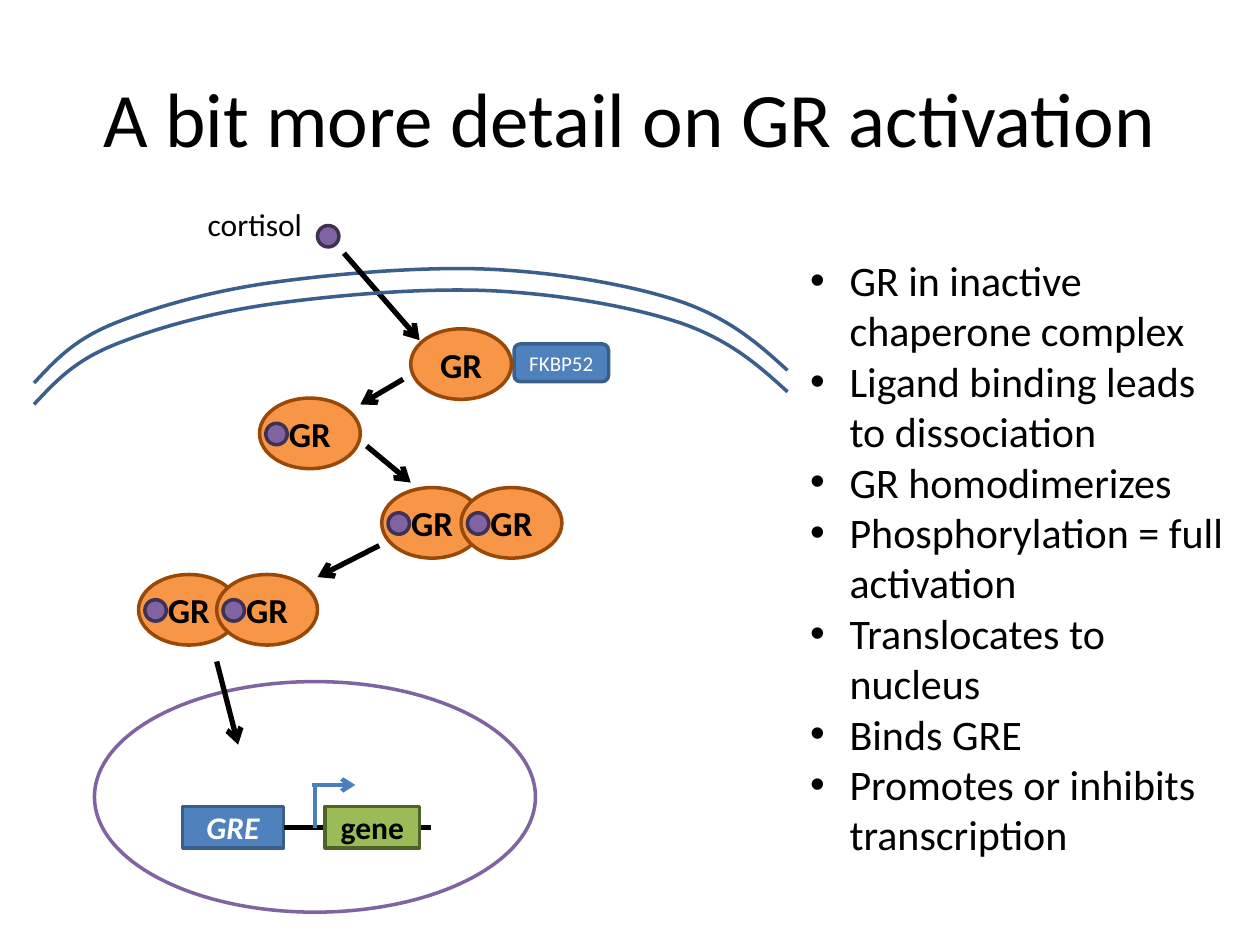
from lxml.etree import SubElement
from pptx import Presentation
from pptx.dml.color import RGBColor
from pptx.enum.shapes import MSO_CONNECTOR, MSO_SHAPE
from pptx.enum.text import MSO_ANCHOR, MSO_AUTO_SIZE, PP_ALIGN
from pptx.oxml.ns import qn
from pptx.util import Inches, Pt

BLUE, NAVY = "4F81BD", "3A5F8C"
PURPLE, PLUM = "8064A2", "403152"
ORANGE, RUST = "F79646", "984807"
GREEN, OLIVE = "9BBB59", "4F6228"
BLACK, WHITE, SKY = "000000", "FFFFFF", "4B7EBC"

# Start point, then two control points and an end point per curve
MEMBRANE = [
    (0.27, 3.04), (0.43, 2.87), (0.58, 2.7), (0.9, 2.57),
    (1.22, 2.44), (1.67, 2.31), (2.18, 2.24),
    (2.69, 2.17), (3.4, 2.11), (3.94, 2.14),
    (4.48, 2.17), (5.04, 2.27), (5.42, 2.4),
    (5.81, 2.54), (6.03, 2.74), (6.25, 2.94),
]
POINTS = [
    "GR in inactive chaperone complex",
    "Ligand binding leads to dissociation",
    "GR homodimerizes",
    "Phosphorylation = full activation",
    "Translocates to nucleus",
    "Binds GRE",
    "Promotes or inhibits transcription",
]
ARROWS = [
    (2.73, 2.01, 3.33, 2.7),
    (3.2, 3.01, 2.86, 3.21),
    (2.91, 3.54, 3.26, 3.83),
    (3.01, 4.33, 2.52, 4.58),
    (1.72, 5.25, 1.89, 5.91),
]
BOUND = [(2.06, 3.16), (3.03, 3.87), (3.66, 3.87), (1.1, 4.56), (1.72, 4.56)]


def rgb(code):
    return RGBColor.from_string(code)


class Board:
    face = "Calibri"

    def __init__(self, slide):
        self.slide = slide
        self.shapes = slide.shapes

    def font(self, para, size, color=BLACK, bold=False, italic=False):
        font = para.font
        font.name, font.size = self.face, Pt(size)
        font.bold, font.italic = bold, italic
        font.color.rgb = rgb(color)

    def place(self, item, x, y, w, h):
        item.left, item.top = Inches(x), Inches(y)
        item.width, item.height = Inches(w), Inches(h)

    def paint(self, shape, fill, line):
        shape.shadow.inherit = False
        if fill:
            shape.fill.solid()
            shape.fill.fore_color.rgb = rgb(fill)
        else:
            shape.fill.background()
        shape.line.color.rgb = rgb(line)
        shape.line.width = Pt(2)

    def title(self, text):
        item = self.shapes.title
        self.place(item, 0.5, 0.3, 9, 1.25)
        item.text_frame.text = text
        self.font(item.text_frame.paragraphs[0], 44)

    def bullets(self, lines, x, y, w, h):
        item = self.slide.placeholders[1]
        self.place(item, x, y, w, h)
        frame = item.text_frame
        frame.text = "\n".join(lines)
        frame.auto_size = MSO_AUTO_SIZE.SHAPE_TO_FIT_TEXT
        for para in frame.paragraphs:
            props = para._p.get_or_add_pPr()
            props.set("marL", str(Pt(22.5)))
            props.set("indent", str(Pt(-22.5)))
            SubElement(props, qn("a:buFont")).set("typeface", "Arial")
            SubElement(props, qn("a:buChar")).set("char", "•")
            para.space_before = Pt(0)
            self.font(para, 24)

    def label(self, text, x, y, w, h):
        frame = self.shapes.add_textbox(Inches(x), Inches(y), Inches(w), Inches(h)).text_frame
        frame.word_wrap = False
        frame.auto_size = MSO_AUTO_SIZE.SHAPE_TO_FIT_TEXT
        frame.text = text
        self.font(frame.paragraphs[0], 18)

    def shape(self, kind, x, y, w, h, fill, line, text="", host=None, **style):
        item = (host or self.shapes).add_shape(kind, Inches(x), Inches(y), Inches(w), Inches(h))
        self.paint(item, fill, line)
        if text:
            frame = item.text_frame
            frame.text = text
            frame.vertical_anchor = MSO_ANCHOR.MIDDLE
            frame.paragraphs[0].alignment = PP_ALIGN.CENTER
            self.font(frame.paragraphs[0], **style)

    def cortisol(self, x, y, host=None):
        self.shape(MSO_SHAPE.OVAL, x, y, 0.17, 0.17, PURPLE, PLUM, host=host)

    def receptor(self, x, y, host=None):
        self.shape(MSO_SHAPE.OVAL, x, y, 0.8, 0.56, ORANGE, RUST, "GR", host,
                   size=20, bold=True)

    def bound(self, x, y):
        """Draw a receptor that holds its ligand."""
        host = self.shapes.add_group_shape().shapes
        self.receptor(x, y, host)
        self.cortisol(x + 0.05, y + 0.2, host)

    def line(self, x1, y1, x2, y2, color=BLACK, width=3, arrow=False):
        item = self.shapes.add_connector(
            MSO_CONNECTOR.STRAIGHT, Inches(x1), Inches(y1), Inches(x2), Inches(y2))
        item.line.color.rgb = rgb(color)
        item.line.width = Pt(width)
        if arrow:
            SubElement(item.line._get_or_add_ln(), qn("a:tailEnd")).set("type", "arrow")
        SubElement(item._element.spPr, qn("a:effectLst"))

    def curve(self, knots, drop=0):
        """Draw an open chain of cubic Bezier curves."""
        dots = [(Inches(x), Inches(y + drop)) for x, y in knots]
        pen = self.shapes.build_freeform(*dots[0])
        pen.add_line_segments(dots[1:], close=False)
        item = pen.convert_to_shape()
        self.paint(item, None, NAVY)
        route = next(item._element.iter(qn("a:path")))
        legs = route.findall(qn("a:lnTo"))
        for i in range(0, len(legs), 3):
            bend = SubElement(route, qn("a:cubicBezTo"))
            for leg in legs[i:i + 3]:
                bend.append(leg[0])
                route.remove(leg)


def main():
    deck = Presentation()
    deck.slide_width, deck.slide_height = Inches(10), Inches(7.5)
    board = Board(deck.slides.add_slide(deck.slide_layouts[1]))

    board.title("A bit more detail on GR activation")
    board.bullets(POINTS, 6.33, 1.97, 3.5, 4.95)

    board.shape(MSO_SHAPE.ROUNDED_RECTANGLE, 4.08, 2.73, 0.75, 0.3, BLUE, NAVY,
                "FKBP52", size=12, color=WHITE)
    board.shape(MSO_SHAPE.RECTANGLE, 1.45, 6.4, 0.8, 0.33, BLUE, NAVY,
                "GRE", size=18, color=WHITE, bold=True, italic=True)
    board.curve(MEMBRANE)
    board.cortisol(2.52, 1.79)
    board.label("cortisol", 1.55, 1.58, 0.96, 0.4)
    board.receptor(3.26, 2.61)

    board.shape(MSO_SHAPE.OVAL, 0.75, 5.41, 3.5, 1.83, None, PURPLE)
    board.line(2.25, 6.57, 3.42, 6.57)
    board.shape(MSO_SHAPE.RECTANGLE, 2.58, 6.4, 0.75, 0.33, GREEN, OLIVE,
                "gene", size=18, bold=True)
    board.line(2.5, 6.57, 2.5, 6.23, SKY, 2.5)
    board.line(2.48, 6.23, 2.82, 6.23, SKY, 2.5, arrow=True)

    for ends in ARROWS:
        board.line(*ends, arrow=True)
    board.curve(MEMBRANE, drop=0.17)
    for spot in BOUND:
        board.bound(*spot)

    deck.save("out.pptx")


if __name__ == "__main__":
    main()
